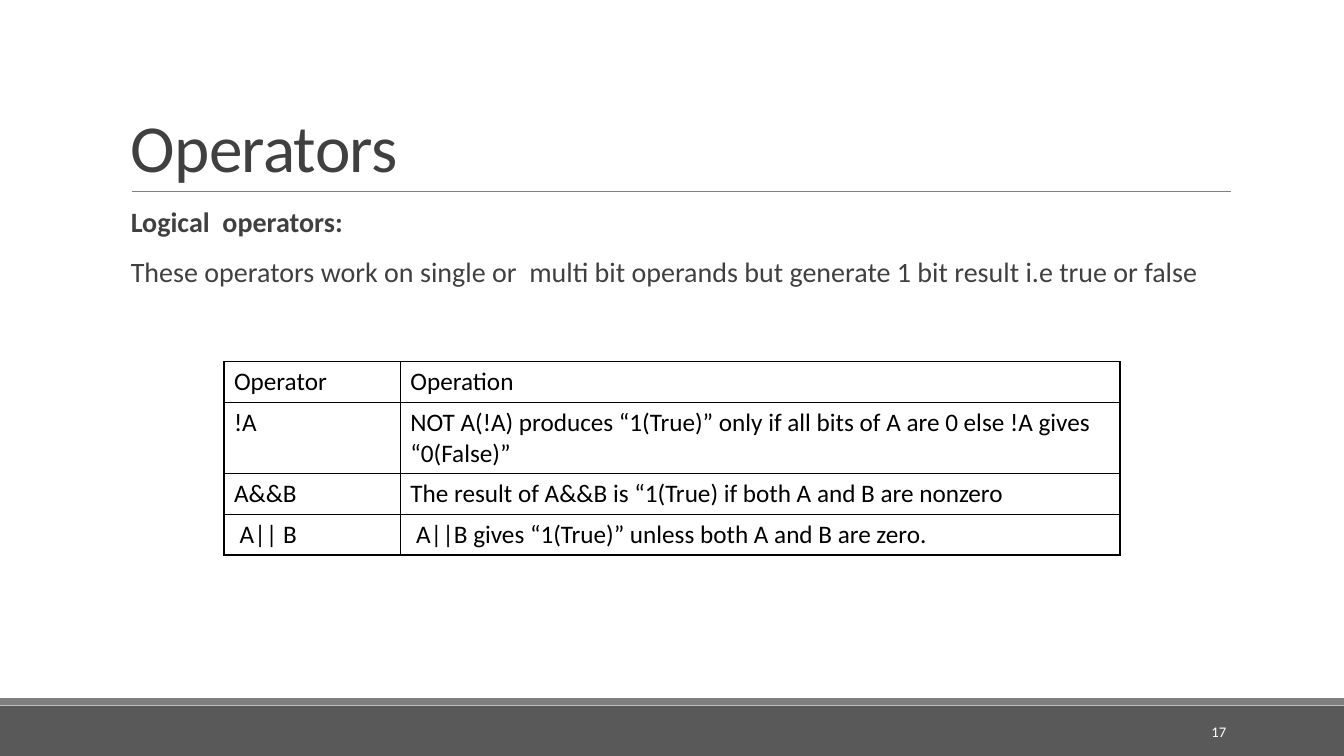
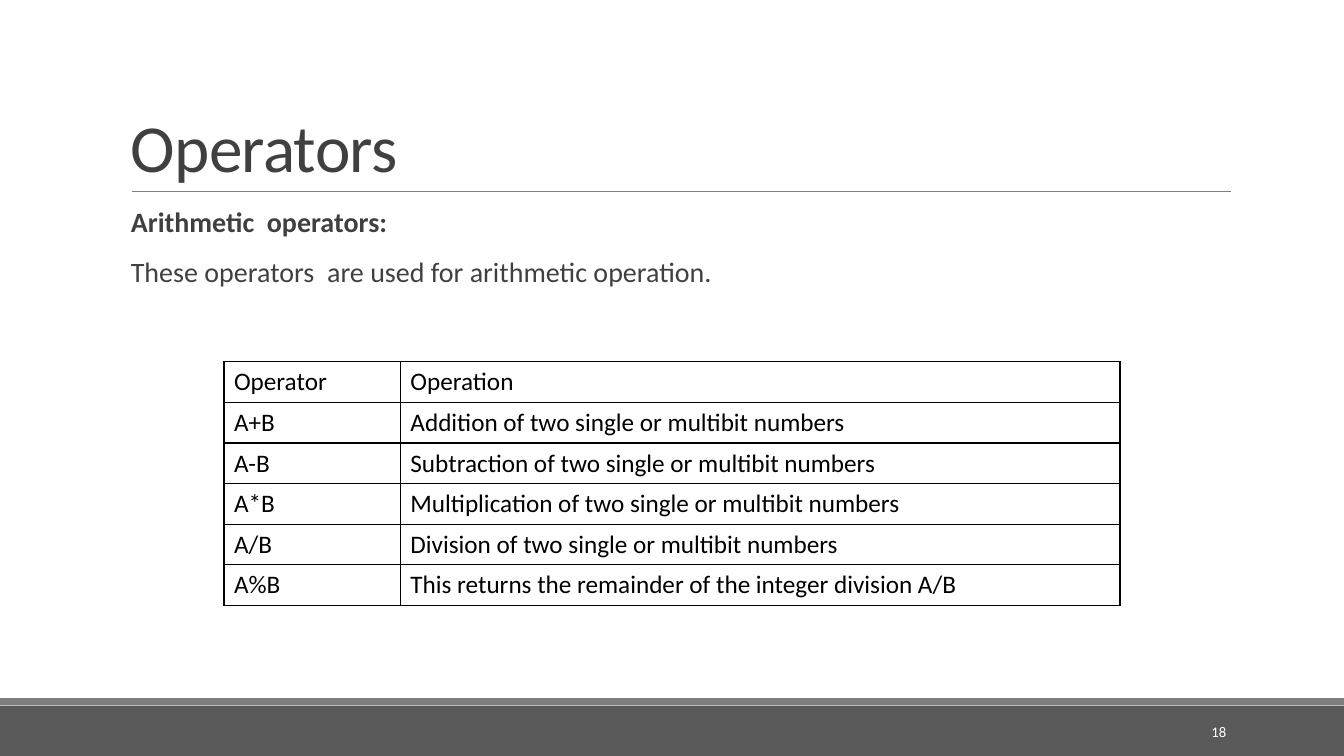
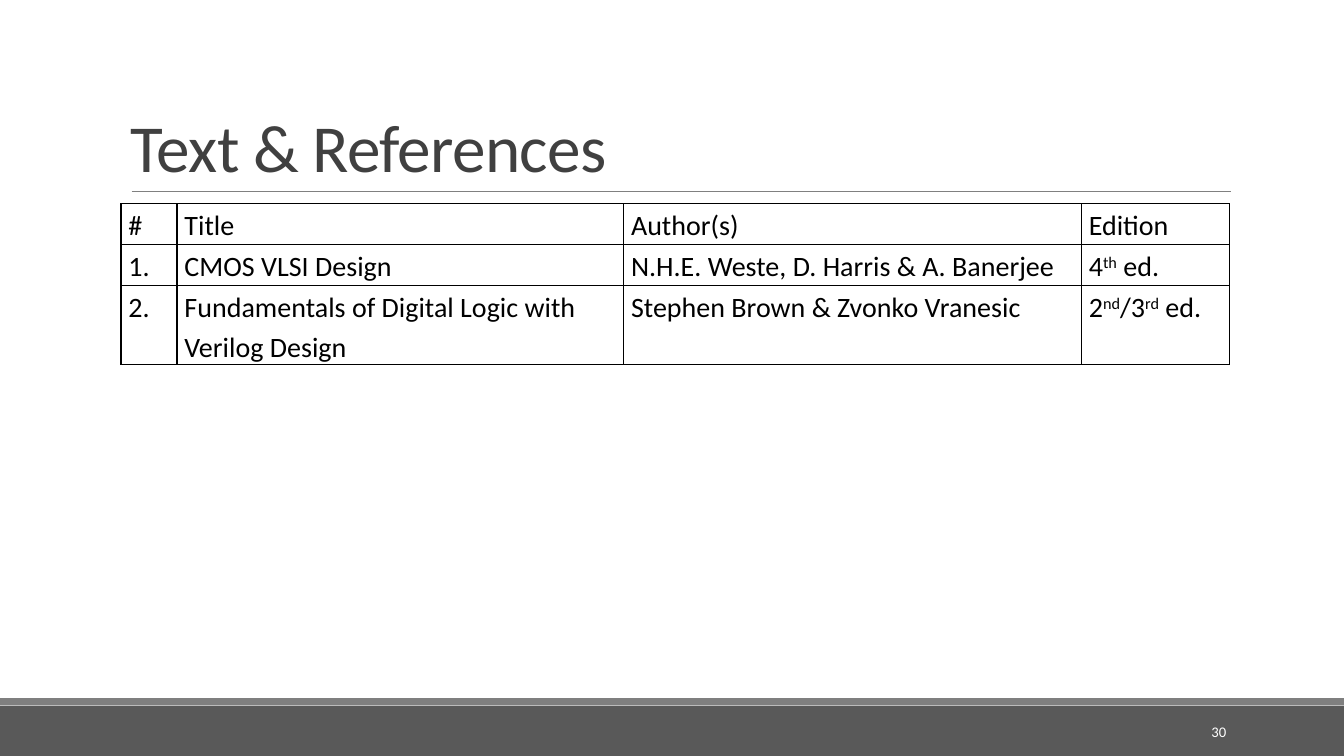
from lxml import etree
from pptx import Presentation
from pptx.dml.color import RGBColor
from pptx.enum import shapes, text
from pptx.oxml.ns import qn
from pptx.util import Pt

# Shared style
FONT = "Calibri"
BLACK = RGBColor(0, 0, 0)
WHITE = RGBColor(0xFF, 0xFF, 0xFF)
INK = RGBColor(0x40, 0x40, 0x40)
RULE = RGBColor(0x80, 0x80, 0x80)
STRIPE = RGBColor(0x7F, 0x7F, 0x7F)
BAND = RGBColor(0x59, 0x59, 0x59)
WIDTH, HEIGHT = 960, 540
LEFT, BODY_TOP, BODY_WIDTH = 86.4, 145.6, 792

# Table layouts; insets are left, top, right, bottom
OPERATOR_TABLE = dict(left=160, top=258.5, widths=(126, 514), size=18,
                      insets=(7.2, 3.6, 7.2, 3.6), spacing=1, after=0)
BOOK_TABLE = dict(left=LEFT, top=BODY_TOP, widths=(40, 319, 327, 106), size=20,
                  insets=(5.4, 0, 5.4, 0), spacing=1.15, after=10)

# Content; in a cell given as a tuple, every second part is superscript
SLIDES = [
    dict(title="Operators", number="17", heading="Logical  operators:",
         body="These operators work on single or  multi bit operands "
              "but generate 1 bit result i.e true or false",
         layout=OPERATOR_TABLE, heights=(29, 51, 29, 29),
         rows=[("Operator", "Operation"),
               ("!A", "NOT A(!A) produces “1(True)” only if all bits of A "
                      "are 0 else !A gives “0(False)”"),
               ("A&&B", "The result of A&&B is “1(True) if both A and B are nonzero"),
               (" A|| B", " A||B gives “1(True)” unless both A and B are zero.")]),
    dict(title="Operators", number="18", heading="Arithmetic  operators:",
         body="These operators  are used for arithmetic operation.",
         layout=OPERATOR_TABLE, heights=(29,) * 6,
         rows=[("Operator", "Operation"),
               ("A+B", "Addition of two single or multibit numbers"),
               ("A-B", "Subtraction of two single or multibit numbers"),
               ("A*B", "Multiplication of two single or multibit numbers"),
               ("A/B", "Division of two single or multibit numbers"),
               ("A%B", "This returns the remainder of the integer division A/B")]),
    dict(title="Text & References", number="30",
         layout=BOOK_TABLE, heights=(29.3, 29.3, 56.4),
         rows=[("#", "Title", "Author(s)", "Edition"),
               ("1.", "CMOS VLSI Design", "N.H.E. Weste, D. Harris & A. Banerjee",
                ("4", "th", " ed.")),
               ("2.", "Fundamentals of Digital Logic with Verilog Design",
                "Stephen Brown & Zvonko Vranesic",
                ("2", "nd", "/3", "rd", " ed."))]),
]


def add_span(para, words, size, color, bold=False):
    span = para.add_run()
    span.text = words
    span.font.name, span.font.size, span.font.bold = FONT, Pt(size), bold
    span.font.color.rgb = color
    return span


def add_box(page, left, top, width, height, anchor):
    box = page.shapes.add_textbox(Pt(left), Pt(top), Pt(width), Pt(height))
    box.text_frame.word_wrap = True
    box.text_frame.vertical_anchor = anchor
    return box.text_frame


def add_bar(page, top, height, color):
    bar = page.shapes.add_shape(shapes.MSO_SHAPE.RECTANGLE,
                                0, Pt(top), Pt(WIDTH), Pt(height))
    bar.shadow.inherit = False
    bar.fill.solid()
    bar.fill.fore_color.rgb = color
    bar.line.fill.background()


def add_frame(page, title, number):
    # Footer bands and title rule
    add_bar(page, 504, 36, BAND)
    add_bar(page, 498.76, 5.04, STRIPE)
    rule = page.shapes.add_connector(shapes.MSO_CONNECTOR.STRAIGHT,
                                     Pt(94), Pt(136.8), Pt(879), Pt(136.8))
    rule.line.color.rgb = RULE
    rule.line.width = Pt(0.5)
    etree.SubElement(rule._element.spPr, qn("a:effectLst"))

    # Title
    frame = add_box(page, LEFT, 22.4, BODY_WIDTH, 114.4, text.MSO_ANCHOR.BOTTOM)
    para = frame.paragraphs[0]
    para.line_spacing = 0.85
    span = add_span(para, title, 48, INK)
    span.font._element.set("spc", "-50")

    # Page number
    frame = add_box(page, 780, 508.3, 103, 28.8, text.MSO_ANCHOR.MIDDLE)
    para = frame.paragraphs[0]
    para.alignment = text.PP_ALIGN.RIGHT
    add_span(para, number, 10.5, WHITE)


def add_body(page, heading, body):
    frame = add_box(page, LEFT, BODY_TOP, BODY_WIDTH, 316.8, text.MSO_ANCHOR.TOP)
    frame.margin_right = 0
    for words, bold in ((heading, True), (body, False)):
        para = frame.paragraphs[0] if bold else frame.add_paragraph()
        para.line_spacing = 0.9
        para.space_before, para.space_after = Pt(12), Pt(2)
        add_span(para, words, 20, INK, bold)


def add_borders(cell):
    props = cell._tc.get_or_add_tcPr()
    for side in ("lnL", "lnR", "lnT", "lnB"):
        line = etree.SubElement(props, qn("a:" + side), w=str(Pt(1)))
        fill = etree.SubElement(line, qn("a:solidFill"))
        etree.SubElement(fill, qn("a:srgbClr"), val=str(BLACK))


def fill_cell(cell, content, layout):
    (cell.margin_left, cell.margin_top,
     cell.margin_right, cell.margin_bottom) = map(Pt, layout["insets"])
    add_borders(cell)
    cell.fill.background()
    para = cell.text_frame.paragraphs[0]
    para.line_spacing = layout["spacing"]
    para.space_after = Pt(layout["after"])
    parts = (content,) if isinstance(content, str) else content
    for index, words in enumerate(parts):
        span = add_span(para, words, layout["size"], BLACK)
        if index % 2:
            span.font._element.set("baseline", "30000")


def add_grid(page, rows, heights, layout):
    widths = layout["widths"]
    table = page.shapes.add_table(len(rows), len(widths),
                                  Pt(layout["left"]), Pt(layout["top"]),
                                  Pt(sum(widths)), Pt(sum(heights))).table
    table.first_row = table.horz_banding = False
    for column, width in zip(table.columns, widths):
        column.width = Pt(width)
    for row, height, contents in zip(table.rows, heights, rows):
        row.height = Pt(height)
        for cell, content in zip(row.cells, contents):
            fill_cell(cell, content, layout)


def main():
    deck = Presentation()
    deck.slide_width, deck.slide_height = Pt(WIDTH), Pt(HEIGHT)
    for slide in SLIDES:
        page = deck.slides.add_slide(deck.slide_layouts[6])
        add_frame(page, slide["title"], slide["number"])
        if "body" in slide:
            add_body(page, slide["heading"], slide["body"])
        add_grid(page, slide["rows"], slide["heights"], slide["layout"])
    deck.save("out.pptx")


if __name__ == "__main__":
    main()
